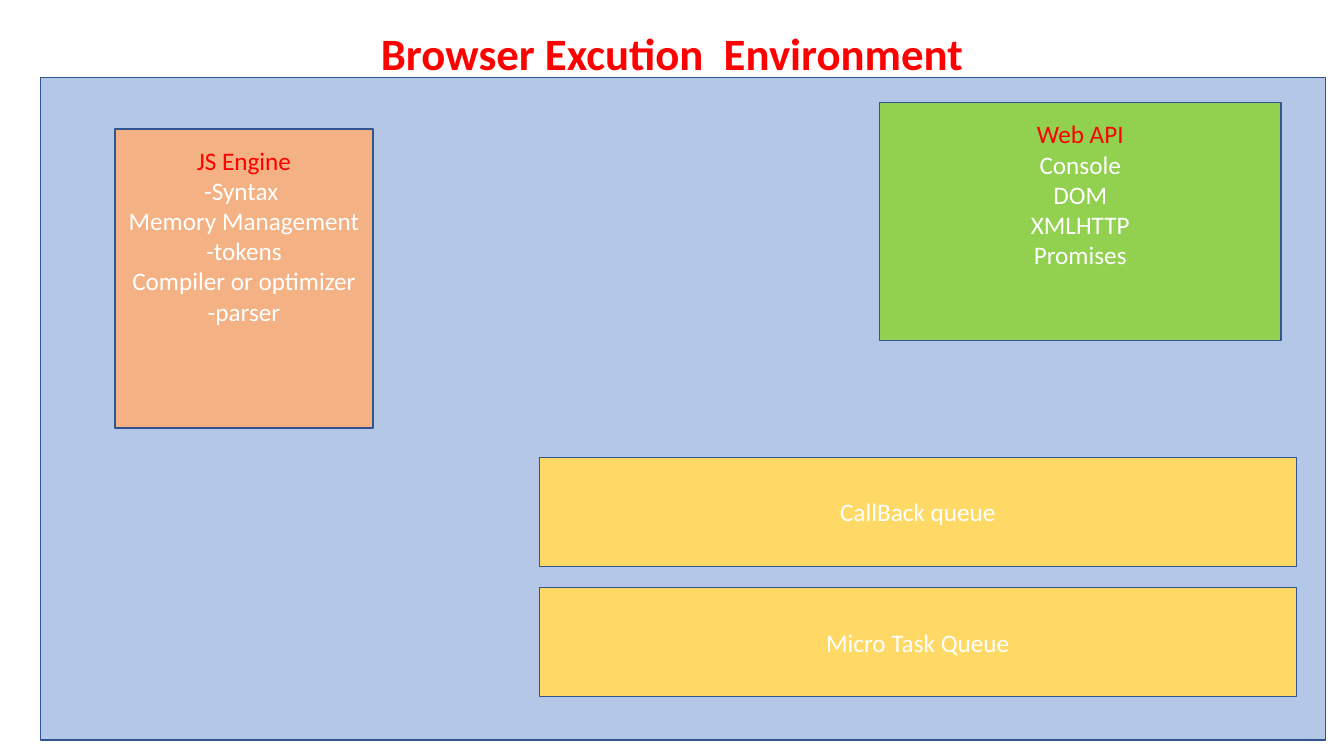
from pptx import Presentation, util as u
from pptx.dml.color import RGBColor
from pptx.enum import shapes, text

COLOURS = {
    "heading": "FF0000",
    "body": "FFFFFF",
    "outline": "325491",
    "environment": "B4C7E7",
    "engine": "F4B183",
    "web_api": "92D050",
    "queue": "FFD966",
}
BODY_FONT = {"name": "Calibri", "size": u.Pt(18)}
TITLE_FONT = {"name": "Calibri", "size": u.Pt(32), "bold": True}
CENTRED = {"alignment": text.PP_ALIGN.CENTER}


def colour(name):
    """Return the named colour of the palette."""
    return RGBColor.from_string(COLOURS[name])


def apply_format(target, values):
    """Set each attribute of a target from a dict of format values."""
    for name, value in values.items():
        setattr(target, name, value)


def write_lines(shape, lines, font, frame_format, paragraph_format):
    """Write one centred paragraph for each pair of wording and colour name."""
    frame = shape.text_frame
    apply_format(frame, {"word_wrap": True, **frame_format})
    for index, (wording, colour_name) in enumerate(lines):
        paragraph = frame.add_paragraph() if index else frame.paragraphs[0]
        apply_format(paragraph, paragraph_format)
        run = paragraph.add_run()
        run.text = wording
        apply_format(run.font, font)
        run.font.color.rgb = colour(colour_name)


def add_title(slide, wording, place):
    """Add the slide title, resting on the bottom of its box."""
    shape = slide.shapes.add_textbox(*map(u.Cm, place))
    write_lines(shape, [(wording, "heading")], TITLE_FONT,
                {"vertical_anchor": text.MSO_ANCHOR.BOTTOM},
                {**CENTRED, "line_spacing": 0.9})


def add_box(slide, place, fill):
    """Add an outlined rectangle and return it."""
    shape = slide.shapes.add_shape(shapes.MSO_SHAPE.RECTANGLE, *map(u.Cm, place))
    shape.shadow.inherit = False
    shape.fill.solid()
    shape.fill.fore_color.rgb = colour(fill)
    shape.line.color.rgb = colour("outline")
    shape.line.width = u.Pt(1)
    return shape


def add_component(slide, place, fill, heading, parts):
    """Add a box with a red heading and its parts listed from the top."""
    lines = [(heading, "heading")] + [(part, "body") for part in parts]
    write_lines(add_box(slide, place, fill), lines, BODY_FONT,
                {"vertical_anchor": text.MSO_ANCHOR.TOP, "margin_top": u.Cm(0.4)},
                CENTRED)


def add_queues(slide, names, left, top, width, height, pitch):
    """Stack one labelled box for each queue at an equal pitch."""
    for index, name in enumerate(names):
        shape = add_box(slide, (left, top + index * pitch, width, height), "queue")
        write_lines(shape, [(name, "body")], BODY_FONT,
                    {"vertical_anchor": text.MSO_ANCHOR.MIDDLE}, CENTRED)


def main():
    """Build the browser environment slide and save it."""
    presentation = Presentation()
    apply_format(presentation, {"slide_width": u.Cm(33.87), "slide_height": u.Cm(19.05)})
    slide = presentation.slides.add_slide(presentation.slide_layouts[6])
    add_title(slide, "Browser Excution  Environment", (4.24, 1.17, 25.4, 0.97))
    add_box(slide, (1.02, 1.96, 32.39, 16.69), "environment")
    add_component(slide, (2.9, 3.25, 6.5, 7.54), "engine", "JS Engine",
                  ["-Syntax ", "Memory Management", "-tokens",
                   "Compiler or optimizer", "-parser"])
    add_component(slide, (22.17, 2.59, 10.11, 5.99), "web_api", "Web API",
                  ["Console", "DOM", "XMLHTTP", "Promises"])
    add_queues(slide, ["CallBack queue", "Micro Task Queue"],
               left=13.59, top=11.53, width=19.08, height=2.74, pitch=3.28)
    presentation.save("out.pptx")


if __name__ == "__main__":
    main()
